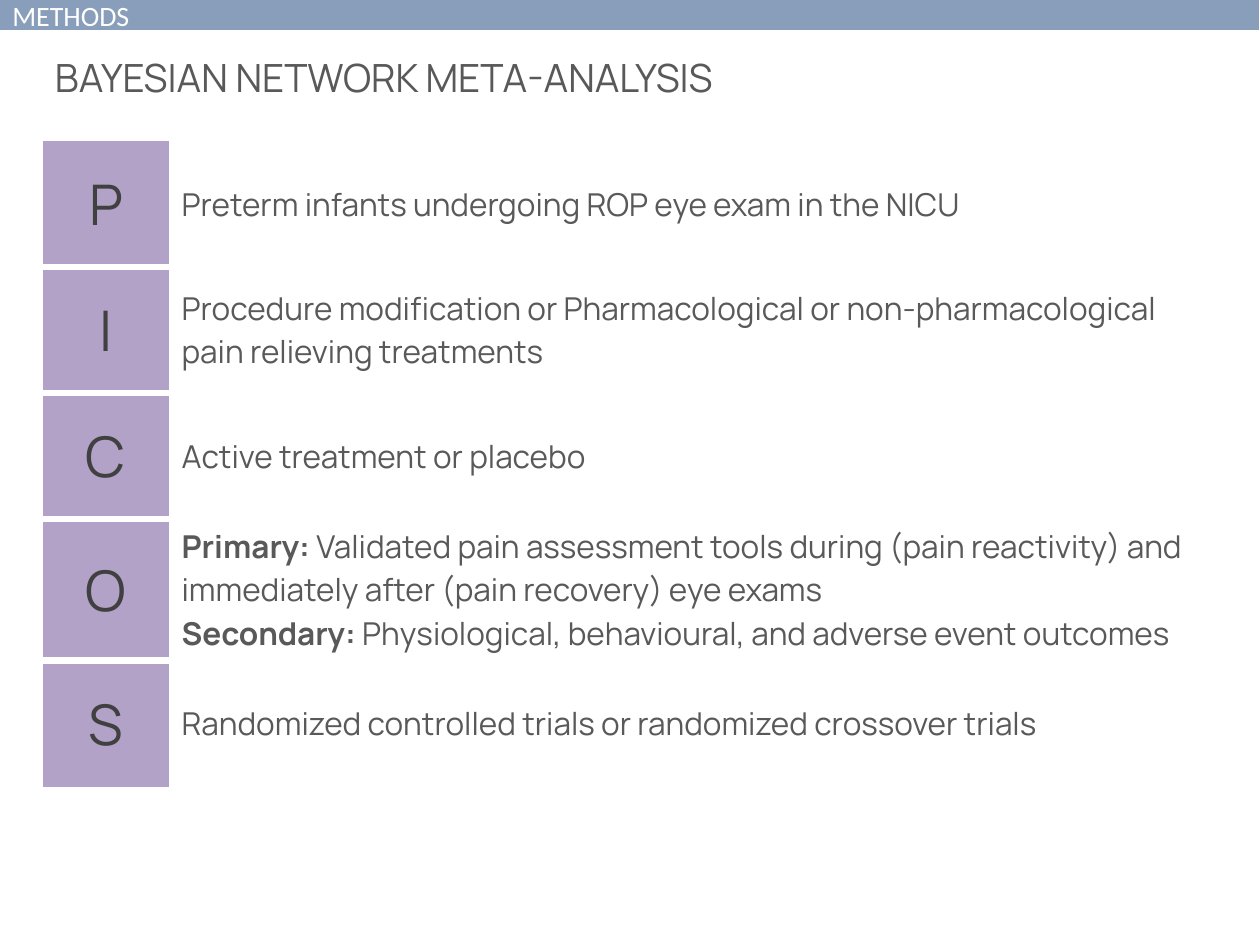
from dataclasses import dataclass

from lxml import etree
from pptx import Presentation
from pptx import util as u
from pptx.dml.color import RGBColor
from pptx.enum import shapes, text
from pptx.oxml import ns

SCALE = 914400 / 126  # EMU in one px
HUES = {
    "bar": "1F497D",
    "tile": "B3A2C7",
    "mark": "404040",
    "body": "595959",
    "white": "FFFFFF",
}
FONT = "Manrope"
PLAIN = "{2D5ABB26-0587-4C30-8999-92F81FD0307C}"  # table style without grid


@dataclass
class Line:
    body: str
    lead: str = ""


@dataclass
class Row:
    mark: str
    lines: list[Line]
    high: int = 126


ROWS = [
    Row("P", [Line("Preterm infants undergoing ROP eye exam in the NICU")]),
    Row("I", [Line("Procedure modification or Pharmacological or "
                   "non-pharmacological pain relieving treatments")]),
    Row("C", [Line("Active treatment or placebo")]),
    Row("O", [
        Line("Validated pain assessment tools during (pain reactivity) and "
             "immediately after (pain recovery) eye exams", "Primary: "),
        Line(" Physiological, behavioural, and adverse event outcomes",
             "Secondary:"),
    ], 112),
    Row("S", [Line("Randomized controlled trials or randomized crossover "
                   "trials")]),
]


def px(*nums: int) -> list[u.Emu]:
    return [u.Emu(round(n * SCALE)) for n in nums]


def rgb(hue: str) -> RGBColor:
    return RGBColor.from_string(HUES[hue])


def style(run, size: float, hue: str, face: str = FONT) -> None:
    run.font.size = u.Pt(size)
    run.font.name = face
    run.font.color.rgb = rgb(hue)


def edge(cell, side: str) -> None:
    """Draw a white rule on one side of a cell."""
    props = cell._tc.get_or_add_tcPr()
    rule = etree.SubElement(props, ns.qn(f"a:ln{side}"), w=str(u.Pt(4.5)))
    fill = etree.SubElement(rule, ns.qn("a:solidFill"))
    etree.SubElement(fill, ns.qn("a:srgbClr"), val=HUES["white"])


def draw_bar(slide) -> None:
    bar = slide.shapes.add_shape(shapes.MSO_SHAPE.RECTANGLE,
                                 *px(0, 0, 1259, 30))
    bar.shadow.inherit = False
    bar.line.fill.background()
    bar.fill.solid()
    bar.fill.fore_color.rgb = rgb("bar")
    tint = next(bar.element.spPr.iter(ns.qn("a:srgbClr")))
    etree.SubElement(tint, ns.qn("a:alpha"), val="53000")
    frame = bar.text_frame
    frame.text = "METHODS"
    frame.vertical_anchor = text.MSO_ANCHOR.MIDDLE
    para = frame.paragraphs[0]
    para.alignment = text.PP_ALIGN.LEFT
    style(para.runs[0], 16, "white", "Calibri")


def draw_title(slide) -> None:
    frame = slide.shapes.add_textbox(*px(44, 30, 1134, 79)).text_frame
    frame.word_wrap = True
    frame.margin_left, frame.margin_right = px(11, 11)
    frame.margin_top, frame.margin_bottom = px(5, 5)
    frame.text = "BAYESIAN NETWORK META-ANALYSIS"
    para = frame.paragraphs[0]
    para.line_spacing = 1.4
    style(para.runs[0], 22.2, "body")


def fill_mark(cell, mark: str, sides: str) -> None:
    for side in sides:
        edge(cell, side)
    cell.fill.solid()
    cell.fill.fore_color.rgb = rgb("tile")
    cell.text_frame.text = mark
    para = cell.text_frame.paragraphs[0]
    para.alignment = text.PP_ALIGN.CENTER
    style(para.runs[0], 32, "mark")


def fill_body(cell, lines: list[Line]) -> None:
    cell.fill.background()
    frame = cell.text_frame
    frame.text = "\n".join(line.lead or line.body for line in lines)
    for para, line in zip(frame.paragraphs, lines):
        if line.lead:
            para.runs[0].font.bold = True
            para.add_run().text = line.body
        for run in para.runs:
            style(run, 18, "body")


def draw_table(slide, rows: list[Row]) -> None:
    high = sum(row.high for row in rows)
    frame = slide.shapes.add_table(len(rows), 2, *px(43, 141, 1160, high))
    table = frame.table
    table.first_row = table.horz_banding = False
    next(frame.element.iter(ns.qn("a:tableStyleId"))).text = PLAIN
    for col, wide in zip(table.columns, px(126, 1034)):
        col.width = wide
    last = len(rows) - 1
    for i, row in enumerate(rows):
        table.rows[i].height = px(row.high)[0]
        # Rules only between the tiles
        sides = ("T" if i > 0 else "") + ("B" if i < last else "")
        fill_mark(table.cell(i, 0), row.mark, sides)
        fill_body(table.cell(i, 1), row.lines)
        for j in range(2):
            table.cell(i, j).vertical_anchor = text.MSO_ANCHOR.MIDDLE


def main() -> None:
    deck = Presentation()
    deck.slide_width, deck.slide_height = px(1260, 945)
    slide = deck.slides.add_slide(deck.slide_layouts[6])
    draw_table(slide, ROWS)
    draw_bar(slide)
    draw_title(slide)
    deck.save("out.pptx")


if __name__ == "__main__":
    main()
